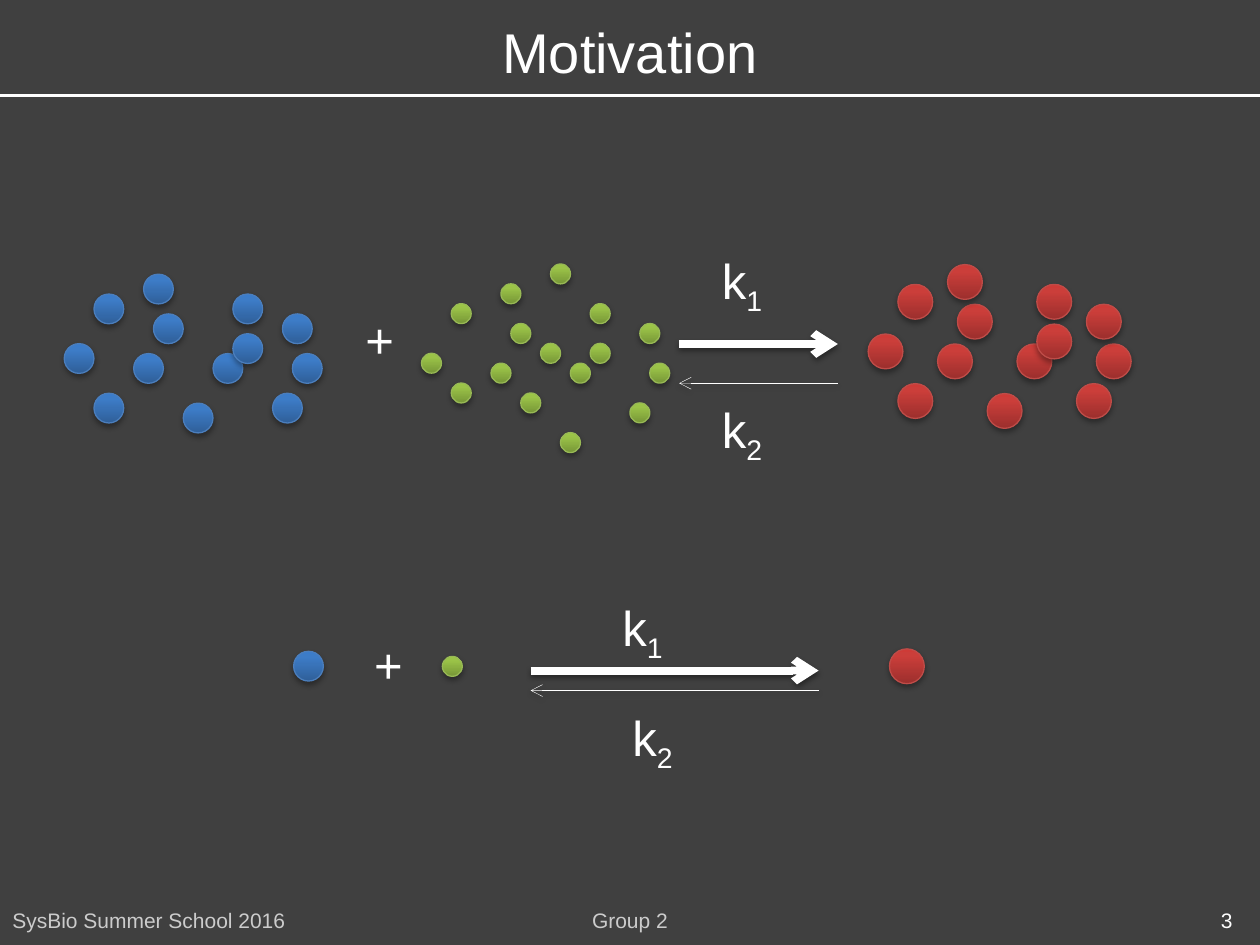
from copy import deepcopy

from pptx import Presentation
from pptx.dml.color import RGBColor as RGB
from pptx.enum.shapes import MSO_CONNECTOR as LINK, MSO_SHAPE as FORM
from pptx.enum.text import MSO_ANCHOR as ANCHOR, MSO_AUTO_SIZE as FIT, PP_ALIGN as ALIGN
from pptx.oxml import parse_xml
from pptx.oxml.ns import nsdecls, qn
from pptx.util import Pt

BACK = RGB(0x40, 0x40, 0x40)
WHITE = RGB(0xFF, 0xFF, 0xFF)
BLACK = RGB(0, 0, 0)
GREY = RGB(0xCC, 0xCC, 0xCC)
BLUE = {"size": 17, "edge": RGB(0x4B, 0x7E, 0xBC), "stops": (
    RGB(0x2F, 0x5F, 0x99), RGB(0x3D, 0x7C, 0xC7), RGB(0x3A, 0x7C, 0xCB))}
GREEN = {"size": 11.4, "edge": RGB(0x98, 0xB9, 0x55), "stops": (
    RGB(0x77, 0x97, 0x37), RGB(0x9B, 0xC3, 0x48), RGB(0x9D, 0xC7, 0x46))}
RED = {"size": 19.9, "edge": RGB(0xBF, 0x4C, 0x48), "stops": (
    RGB(0x9C, 0x2F, 0x2D), RGB(0xCB, 0x3E, 0x3A), RGB(0xCE, 0x3B, 0x37))}

STEP = 5.67
CORE = [(3, 2), (9, 4), (15, 8), (17, 2), (0, 7), (8, 0),
        (7, 8), (17, 6), (23, 8), (22, 4), (21, 12)]
WIDE = CORE + [(12, 13), (3, 12)]
DENSE = CORE + [(10, 11), (13, -2), (12, 6), (14, 15), (3, 10)]


def apply(item, **vals):
    for key, val in vals.items():
        setattr(item, key, val)


def write(frame, parts, size, color, align=ALIGN.LEFT, **look):
    apply(frame, word_wrap=True, **look)
    para = frame.paragraphs[0]
    para.alignment = align
    for text, base in parts:
        run = para.add_run()
        run.text = text
        apply(run.font, name="Arial", size=Pt(size))
        run.font.color.rgb = color
        if base:
            run._r.get_or_add_rPr().set("baseline", str(base))


def shade(item, alpha, dist):
    item._element.spPr.append(parse_xml(
        f'<a:effectLst {nsdecls("a")}><a:outerShdw blurRad="{Pt(3.15)}" '
        f'dist="{Pt(dist)}" dir="5400000" rotWithShape="0">'
        f'<a:srgbClr val="{BLACK}"><a:alpha val="{alpha * 1000}"/></a:srgbClr>'
        '</a:outerShdw></a:effectLst>'))


def ball(group, left, top, kind):
    size = Pt(kind["size"])
    dot = group.add_shape(FORM.OVAL, Pt(left), Pt(top), size, size)
    fill = dot.fill
    fill.gradient()
    fill.gradient_angle = 90
    first = dot._element.spPr.find(".//" + qn("a:gs"))
    first.addnext(deepcopy(first))
    for stop, place, color in zip(fill.gradient_stops, (0, 0.8, 1), kind["stops"]):
        stop.position = place
        stop.color.rgb = color
    dot.line.color.rgb = kind["edge"]
    dot.line.width = Pt(0.75)
    shade(dot, 35, 1.8)


def cloud(group, left, top, kind, spots):
    for col, row in spots:
        ball(group, left + col * STEP, top + row * STEP, kind)


def label(group, left, top, *parts):
    box = group.add_textbox(Pt(left), Pt(top), Pt(73.4), Pt(41))
    write(box.text_frame, parts, 28, WHITE, auto_size=FIT.SHAPE_TO_FIT_TEXT)


def rule(group, start, end, top, width):
    line = group.add_connector(LINK.STRAIGHT, Pt(start), Pt(top), Pt(end), Pt(top))
    line.line.color.rgb = WHITE
    line.line.width = Pt(width)
    return line


def rates(group, left, top, width, gap, names):
    right = left + width
    for start, end, y, thick in ((left, right, top, 4.5),
                                 (right, left, top + gap, 0.25)):
        line = rule(group, start, end, y, thick)
        line.line._ln.append(parse_xml(f'<a:tailEnd {nsdecls("a")} type="arrow"/>'))
        shade(line, 38, 1.6)
    for num, (x, y) in enumerate(names, 1):
        label(group, left + x, top + y, ("k", 0), (str(num), -25000))


def many(group, left, top):
    cloud(group, left, top + 5.5, BLUE, WIDE)
    label(group, left + 165, top + 22.3, ("+", 0))
    cloud(group, left + 204.2, top + 11, GREEN, DENSE)
    rates(group, left + 351.4, top + 45.4, 90.7, 22.4, ((17.3, -56.9), (17.3, 28)))
    cloud(group, left + 459.4, top, RED, WIDE)


def single(group, left, top):
    ball(group, left, top + 1.4, BLUE)
    ball(group, left + 85, top + 4.3, GREEN)
    ball(group, left + 340.5, top, RED)
    label(group, left + 38.9, top - 11.5, ("+", 0))
    rates(group, left + 135.4, top + 12.4, 164.6, 11.4, ((45.4, -45.5), (51.1, 17.3)))


def head(slide, left, top, width, height):
    title = slide.shapes.title
    apply(title, left=Pt(left), top=Pt(top), width=Pt(width), height=Pt(height))
    write(title.text_frame, [("Motivation", 0)], 32, WHITE, ALIGN.CENTER,
          auto_size=FIT.NONE, vertical_anchor=ANCHOR.MIDDLE)
    line = rule(slide.shapes, 0, 728.6, top + height, 1.5)
    line._element.spPr.append(parse_xml(f'<a:effectLst {nsdecls("a")}/>'))


def foot(slide, top):
    for left, text, color, align in (
            (365.8, "3", WHITE, ALIGN.RIGHT),
            (0, "SysBio Summer School 2016", GREY, ALIGN.LEFT),
            (187.2, "Group 2", GREY, ALIGN.CENTER)):
        box = slide.shapes.add_textbox(Pt(left), Pt(top), Pt(345.6), Pt(21.6))
        write(box.text_frame, [(text, 0)], 12, color, align,
              vertical_anchor=ANCHOR.MIDDLE)


def main():
    deck = Presentation()
    apply(deck, slide_width=Pt(720), slide_height=Pt(540))
    slide = deck.slides.add_slide(deck.slide_layouts[5])
    back = slide.background.fill
    back.solid()
    back.fore_color.rgb = BACK
    head(slide, 54, 3.6, 612, 51.1)
    foot(slide, 514.8)
    many(slide.shapes, 36.7, 151.2)
    single(slide.shapes.add_group_shape().shapes, 167.8, 370.8)
    deck.save("out.pptx")


if __name__ == "__main__":
    main()
